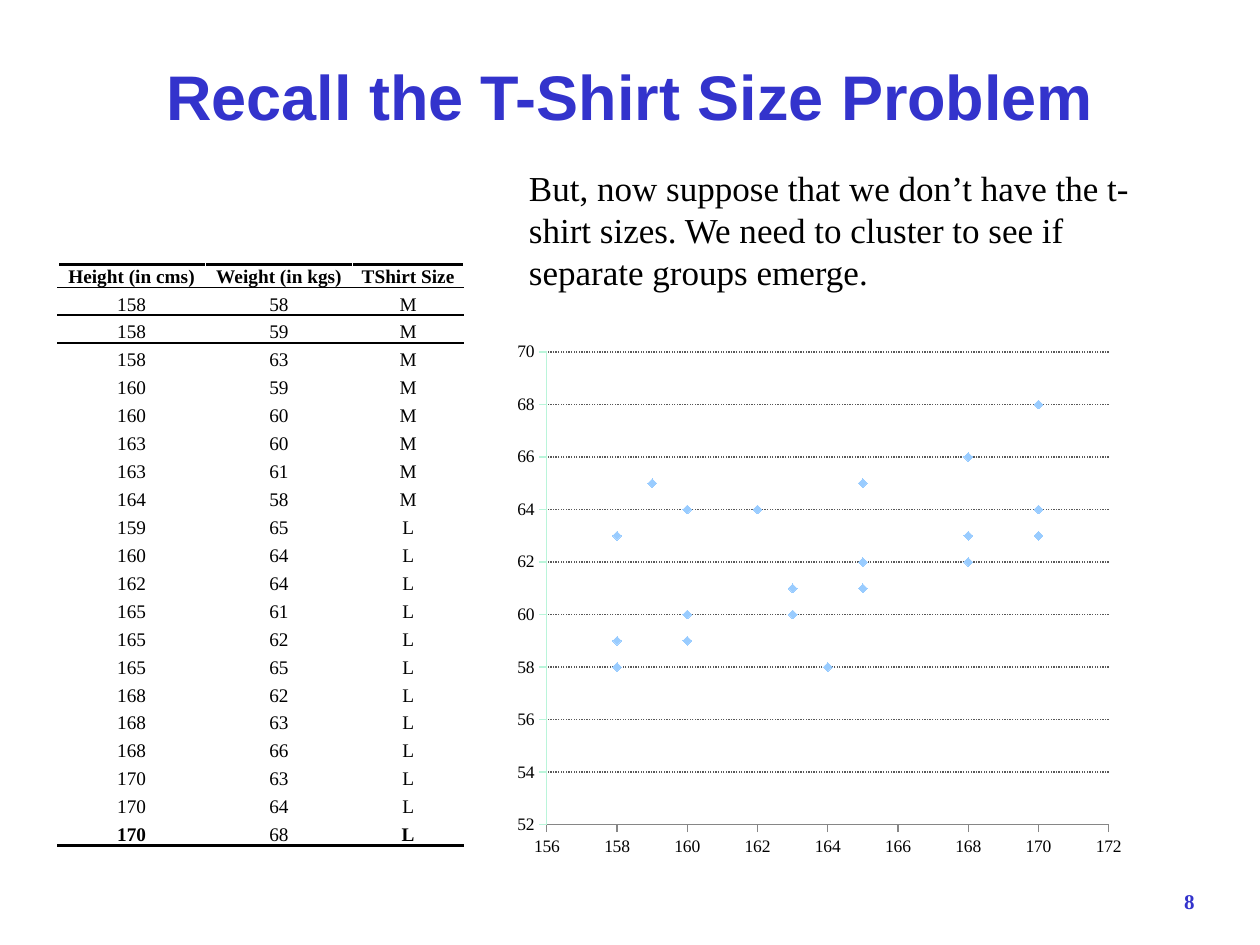
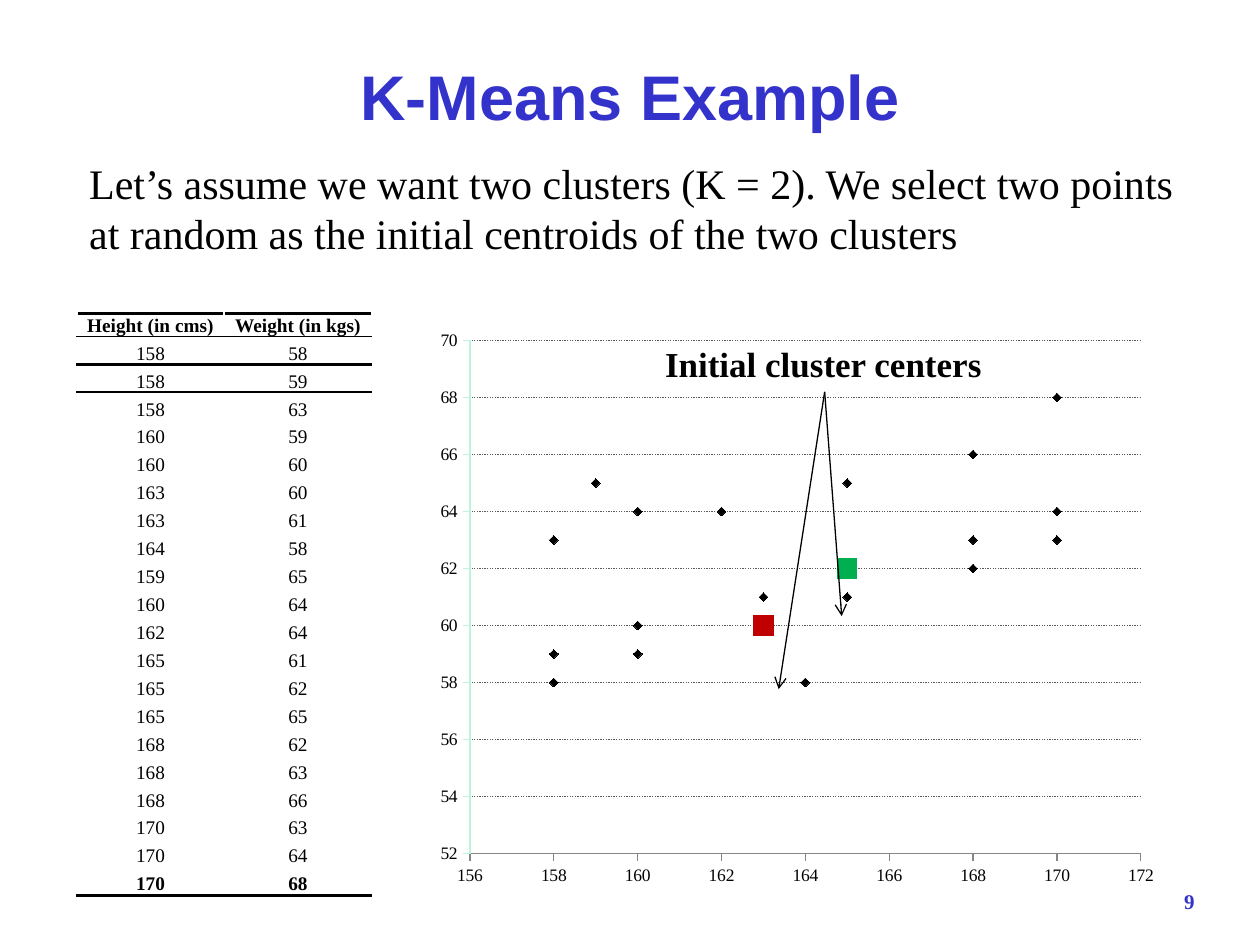
from lxml import etree
from pptx import Presentation
from pptx.chart.data import XyChartData
from pptx.dml.color import RGBColor
from pptx.enum.chart import XL_CHART_TYPE as ChartType, XL_MARKER_STYLE as Marker
from pptx.enum.chart import XL_TICK_MARK as Tick
from pptx.enum.dml import MSO_LINE as Dash
from pptx.enum.shapes import MSO_CONNECTOR as Connector
from pptx.enum.text import MSO_ANCHOR as Anchor, MSO_AUTO_SIZE as AutoSize, PP_ALIGN as Align
from pptx.oxml import parse_xml
from pptx.oxml.ns import nsdecls, qn
from pptx.util import Inches, Pt

COLORS = {
    "title": "3333CC", "text": "000000", "paper": "FFFFFF", "grid": "595959",
    "x_axis": "868686", "y_axis": "BAF5DA", "light_point": "99CCFF",
    "dark_point": "000000", "red": "C00000", "green": "00B050",
}
SERIF = "Times New Roman"

# Shared data and table rules
SHIRTS = [
    (158, 58, "M"), (158, 59, "M"), (158, 63, "M"), (160, 59, "M"), (160, 60, "M"),
    (163, 60, "M"), (163, 61, "M"), (164, 58, "M"), (159, 65, "L"), (160, 64, "L"),
    (162, 64, "L"), (165, 61, "L"), (165, 62, "L"), (165, 65, "L"), (168, 62, "L"),
    (168, 63, "L"), (168, 66, "L"), (170, 63, "L"), (170, 64, "L"), (170, 68, "L"),
]
HEADERS = ("Height (in cms)", "Weight (in kgs)", "TShirt Size")
COLUMN_WIDTHS = (1.17, 1.17, 0.88)
HEADER_HEIGHT, ROW_HEIGHT = 0.18, 0.222
RULES = {0: 2, 1: 1, 2: 1.5, len(SHIRTS) + 1: 2}  # row edge: points
CELL_FORMAT = {
    "margin_left": Inches(0.01), "margin_right": Inches(0.01),
    "margin_top": Inches(0.01), "margin_bottom": 0, "vertical_anchor": Anchor.BOTTOM,
}

# What differs from slide to slide
SLIDES = [
    {
        "title": "Recall the T-Shirt Size Problem", "number": 8,
        "note": "But, now suppose that we don’t have the t-shirt sizes. "
                "We need to cluster to see if separate groups emerge.",
        "note_at": (4.1, 1.27, 5.2, 1.11), "note_size": 20,
        "table_at": (0.46, 2.1), "columns": 3, "bold_last": (0, 2),
        "chart_at": (4.01, 2.64, 5, 4.26), "plot": (0.066, 0.036, 0.892, 0.881),
        "point": "light_point", "centers": {}, "label": None,
    },
    {
        "title": "K-Means Example", "number": 9,
        "note": "Let’s assume we want two clusters (K = 2). We select two points "
                "at random as the initial centroids of the two clusters",
        "note_at": (0.61, 1.2, 8.83, 0.91), "note_size": 24,
        "table_at": (0.61, 2.49), "columns": 2, "bold_last": (0, 1),
        "chart_at": (3.38, 2.48, 5.93, 4.55), "plot": (0.059, 0.049, 0.898, 0.895),
        "point": "dark_point", "centers": {(163, 60): "red", (165, 62): "green"},
        "label": "Initial cluster centers",
    },
]


def put_text(frame, text, size, color="text", name=SERIF, bold=False, align=Align.LEFT):
    para = frame.paragraphs[0]
    para.alignment = align
    span = para.add_run()
    span.text = text
    for key, value in {"size": Pt(size), "name": name, "bold": bold}.items():
        setattr(span.font, key, value)
    span.font.color.rgb = RGBColor.from_string(COLORS[color])


def paint(part, color, width=None):
    """Solid fill, or a line when a width is given."""
    target = part.fill if width is None else part.line.fill
    target.solid()
    target.fore_color.rgb = RGBColor.from_string(COLORS[color])
    if width is not None:
        part.line.width = Pt(width)


deck = Presentation()
deck.slide_width, deck.slide_height = Inches(10), Inches(7.5)

for page_plan in SLIDES:
    page = deck.slides.add_slide(deck.slide_layouts[5])

    # Title
    title = page.shapes.title
    title.left, title.top, title.width, title.height = map(Inches, (0.5, 0.42, 9, 0.67))
    title.text_frame.auto_size = AutoSize.NONE
    title.text_frame.vertical_anchor = Anchor.MIDDLE
    put_text(title.text_frame, page_plan["title"], 36, "title", "Arial", True, Align.CENTER)

    # Table of heights and weights
    count = page_plan["columns"]
    rows = [HEADERS] + SHIRTS
    widths = COLUMN_WIDTHS[:count]
    table = page.shapes.add_table(
        len(rows), count, *map(Inches, page_plan["table_at"]), Inches(sum(widths)),
        Inches(HEADER_HEIGHT + ROW_HEIGHT * len(SHIRTS))).table
    table.first_row = table.horz_banding = False
    for column, width in zip(table.columns, widths):
        column.width = Inches(width)
    for row_index, values in enumerate(rows):
        table.rows[row_index].height = Inches(ROW_HEIGHT if row_index else HEADER_HEIGHT)
        for column_index, value in enumerate(values[:count]):
            cell = table.cell(row_index, column_index)
            for key, setting in CELL_FORMAT.items():
                setattr(cell, key, setting)
            bold = row_index == 0 or (
                row_index == len(SHIRTS) and column_index in page_plan["bold_last"])
            put_text(cell.text_frame, str(value), 11, bold=bold, align=Align.CENTER)
            paint(cell, "paper")
            for tag, edge in (("lnB", row_index + 1), ("lnT", row_index)):
                if edge in RULES:
                    cell._tc.get_or_add_tcPr().insert(0, parse_xml(
                        f'<a:{tag} {nsdecls("a")} w="{Pt(RULES[edge])}"><a:solidFill>'
                        f'<a:srgbClr val="{COLORS["text"]}"/></a:solidFill></a:{tag}>'))

    # Scatter chart
    data = XyChartData()
    points = data.add_series("Series 1")
    for height, weight, _ in SHIRTS:
        points.add_data_point(height, weight)
    chart = page.shapes.add_chart(
        ChartType.XY_SCATTER, *map(Inches, page_plan["chart_at"]), data).chart
    chart.has_title = chart.has_legend = False
    chart.font.name, chart.font.size = SERIF, Pt(10)
    chart.font.color.rgb = RGBColor.from_string(COLORS["text"])
    chart.plots[0].vary_by_categories = False

    axes = (
        (chart.category_axis, 156, 172, "x_axis", False),
        (chart.value_axis, 52, 70, "y_axis", True),
    )
    for axis, low, high, color, gridded in axes:
        axis_format = {
            "minimum_scale": low, "maximum_scale": high, "major_unit": 2,
            "major_tick_mark": Tick.OUTSIDE, "minor_tick_mark": Tick.NONE,
            "has_major_gridlines": gridded,
        }
        for key, setting in axis_format.items():
            setattr(axis, key, setting)
        paint(axis.format, color, 0.75)
    grid = chart.value_axis.major_gridlines.format
    paint(grid, "grid", 0.75)
    grid.line.dash_style = Dash.ROUND_DOT

    # Markers, with the initial centers as large squares
    series = chart.plots[0].series[0]
    series.smooth = False
    series.format.line.fill.background()
    markers = [(series.marker, Marker.DIAMOND, 5, page_plan["point"])]
    for index, (height, weight, _) in enumerate(SHIRTS):
        if (height, weight) in page_plan["centers"]:
            center_color = page_plan["centers"][height, weight]
            markers.append((series.points[index].marker, Marker.SQUARE, 11, center_color))
    for marker, style, size, color in markers:
        marker.style, marker.size = style, size
        paint(marker.format, color)
        paint(marker.format, color, 0.5)

    # Fixed inner plot area
    plot_area = chart._chartSpace.chart.plotArea
    for old_layout in plot_area.findall(qn("c:layout")):
        plot_area.remove(old_layout)
    layout = etree.Element(qn("c:layout"))
    manual = etree.SubElement(layout, qn("c:manualLayout"))
    settings = [("layoutTarget", "inner"), ("xMode", "edge"), ("yMode", "edge")]
    for key, setting in settings + list(zip("xywh", page_plan["plot"])):
        etree.SubElement(manual, qn(f"c:{key}")).set("val", str(setting))
    plot_area.insert(0, layout)

    # Explanation and page number
    note = page.shapes.add_textbox(*map(Inches, page_plan["note_at"]))
    note.text_frame.word_wrap = True
    note.text_frame.auto_size = AutoSize.SHAPE_TO_FIT_TEXT
    put_text(note.text_frame, page_plan["note"], page_plan["note_size"])
    number = page.shapes.add_textbox(*map(Inches, (7.5, 7, 2.08, 0.33)))
    number.text_frame.word_wrap = True
    put_text(number.text_frame, str(page_plan["number"]), 12, "title",
             bold=True, align=Align.RIGHT)

    # Label with arrows to the initial centers
    if page_plan["label"]:
        label = page.shapes.add_textbox(*map(Inches, (5.18, 2.67, 2.73, 0.44)))
        label.text_frame.word_wrap = False
        label.text_frame.auto_size = AutoSize.SHAPE_TO_FIT_TEXT
        put_text(label.text_frame, page_plan["label"], 20, bold=True)
        for tip in ((6.18, 5.47), (6.68, 4.89)):
            arrow = page.shapes.add_connector(
                Connector.STRAIGHT, *map(Inches, (6.54, 3.11) + tip))
            arrow.begin_connect(label, 2)
            paint(arrow, "text", 0.75)
            etree.SubElement(arrow.line._get_or_add_ln(), qn("a:tailEnd")).set("type", "arrow")
            etree.SubElement(arrow._element.spPr, qn("a:effectLst"))

deck.save("out.pptx")
